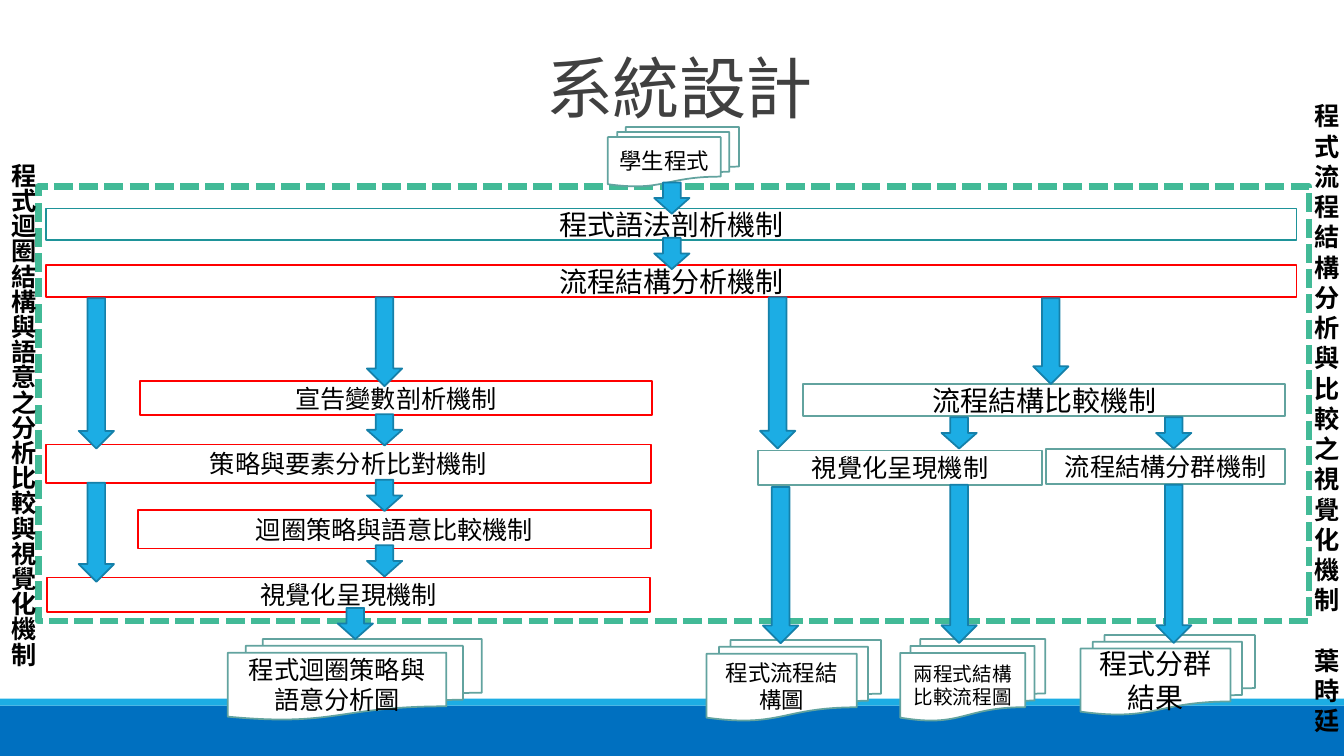
"""Build the system design flowchart slide."""
from pptx import Presentation
from pptx.dml.color import RGBColor
from pptx.enum.dml import MSO_LINE
from pptx.enum.shapes import MSO_SHAPE
from pptx.enum.text import MSO_ANCHOR, PP_ALIGN
from pptx.util import Pt

RECT = MSO_SHAPE.RECTANGLE
BOX = MSO_SHAPE.FLOWCHART_PROCESS
DOCS = MSO_SHAPE.FLOWCHART_MULTIDOCUMENT
ARROW = MSO_SHAPE.DOWN_ARROW
DASH = MSO_LINE.SQUARE_DOT
MIDDLE, BOTTOM = MSO_ANCHOR.MIDDLE, MSO_ANCHOR.BOTTOM
CENTER, LEFT = PP_ALIGN.CENTER, PP_ALIGN.LEFT


class Theme:
    font = "Calibri"
    white, black, gray = "FFFFFF", "000000", "404040"
    blue, sky, edge = "0070C0", "1CADE4", "1580A9"
    green, teal, sage, red = "42BA97", "1E9399", "62A39F", "FF0000"
    title, large, label, small, tiny = 48, 20, 18, 16, 14
    line, frame = 1.25, 4.5


deck = Presentation()
deck.slide_width, deck.slide_height = Pt(960), Pt(540)
slide = deck.slides.add_slide(deck.slide_layouts[6])
shapes = slide.shapes


def draw(kind, spot, fill=None, line=None, width=Theme.line):
    shape = shapes.add_shape(kind, *map(Pt, spot))
    shape.shadow.inherit = False
    if fill:
        shape.fill.solid()
        shape.fill.fore_color.rgb = RGBColor.from_string(fill)
    else:
        shape.fill.background()
    if line:
        shape.line.color.rgb = RGBColor.from_string(line)
        shape.line.width = Pt(width)
    else:
        shape.line.fill.background()
    return shape


def write(shape, text, size, color=Theme.black, bold=False, align=CENTER):
    frame = shape.text_frame
    frame.word_wrap = True
    frame.text = text
    for para in frame.paragraphs:
        para.alignment = align
        for run in para.runs:
            run.font.name = Theme.font
            run.font.size = Pt(size)
            run.font.bold = bold
            run.font.color.rgb = RGBColor.from_string(color)
    return frame


draw(RECT, (0, 504, 960, 36), Theme.blue)
draw(RECT, (0, 499, 960, 5), Theme.sky)

title = shapes.add_textbox(Pt(314), Pt(-7), Pt(342.7), Pt(101.5))
head = write(title, "系統設計", Theme.title, Theme.gray)
head.vertical_anchor = BOTTOM
head.paragraphs[0].line_spacing = 0.85
head.paragraphs[0].runs[0].font._element.set("spc", "-50")

border = draw(RECT, (27.5, 133.3, 907.5, 310.5), Theme.white, Theme.green, Theme.frame)
border.line.dash_style = DASH

steps = [
    ("程式語法剖析機制", (33, 149, 893, 22.5), Theme.large, None, Theme.teal),
    ("流程結構分析機制", (33, 189.5, 893, 22.5), Theme.large, None, Theme.red),
    ("視覺化呈現機制", (541.5, 321.8, 203, 24.5), Theme.label, Theme.white, Theme.sage),
    ("流程結構比較機制", (573.8, 274.3, 344.2, 23), Theme.large, Theme.white, Theme.sage),
    ("流程結構分群機制", (747.4, 321, 170.6, 24.5), Theme.label, Theme.white, Theme.sage),
    ("宣告變數剖析機制", (100, 272.2, 365.8, 24.5), Theme.label, None, Theme.red),
    ("策略與要素分析比對機制", (33, 317.5, 432, 27.4), Theme.label, None, Theme.red),
    ("迴圈策略與語意比較機制", (98.6, 364.3, 366.5, 27.4), Theme.label, None, Theme.red),
    ("視覺化呈現機制", (33.8, 412.6, 430.6, 24.5), Theme.label, Theme.white, Theme.red),
]
for text, spot, size, fill, line in steps:
    write(draw(BOX, spot, fill, line), text, size).vertical_anchor = MIDDLE

files = [
    ("學生程式", (434.2, 90.7, 93.6, 42.5), Theme.small),
    ("程式迴圈策略與語意分析圖", (162.7, 456.5, 181.4, 57.6), Theme.label),
    ("程式流程結構圖", (504.7, 457.2, 124.6, 57.6), Theme.small),
    ("兩程式結構\n比較流程圖", (643, 456.5, 103.7, 58.3), Theme.tiny),
    ("程式分群結果", (771.8, 453.6, 124.6, 56.9), Theme.large),
]
for text, spot, size in files:
    page = draw(DOCS, spot, Theme.white, Theme.sage)
    write(page, text, size).vertical_anchor = MIDDLE

short = 22.3
flows = {
    467.3: [(130.3, short), (169.9, short)],
    262.1: [(212.4, 63.4), (295.9, short), (342.7, short), (389.5, short)],
    56.2: [(213.1, 107.3), (344.9, 70.6)],
    241.2: [(434.2, short)],
    542.9: [(212.4, 108)],
    545: [(347.8, 111.6)],
    672.5: [(298.1, short), (346.3, 113)],
    738: [(213.1, 61.2)],
    825.8: [(298.1, short), (346.3, 113)],
}
for left, spans in flows.items():
    for top, height in spans:
        draw(ARROW, (left, top, 25.2, height), Theme.sky, Theme.edge)

loop = shapes.add_textbox(Pt(-5), Pt(109.4), Pt(36), Pt(389.5))
side = write(loop, "程式迴圈結構與語意之分析比較與視覺化機制", Theme.label, bold=True, align=LEFT)
side._txBody.bodyPr.set("vert", "eaVert")

flow = shapes.add_textbox(Pt(931.7), Pt(68.4), Pt(23.8), Pt(465))
side = write(flow, "程式流程結構分析與比較之視覺化機制\n葉時廷", Theme.label, bold=True, align=LEFT)
side.paragraphs[1].space_before = Pt(21.6)

deck.save("out.pptx")
